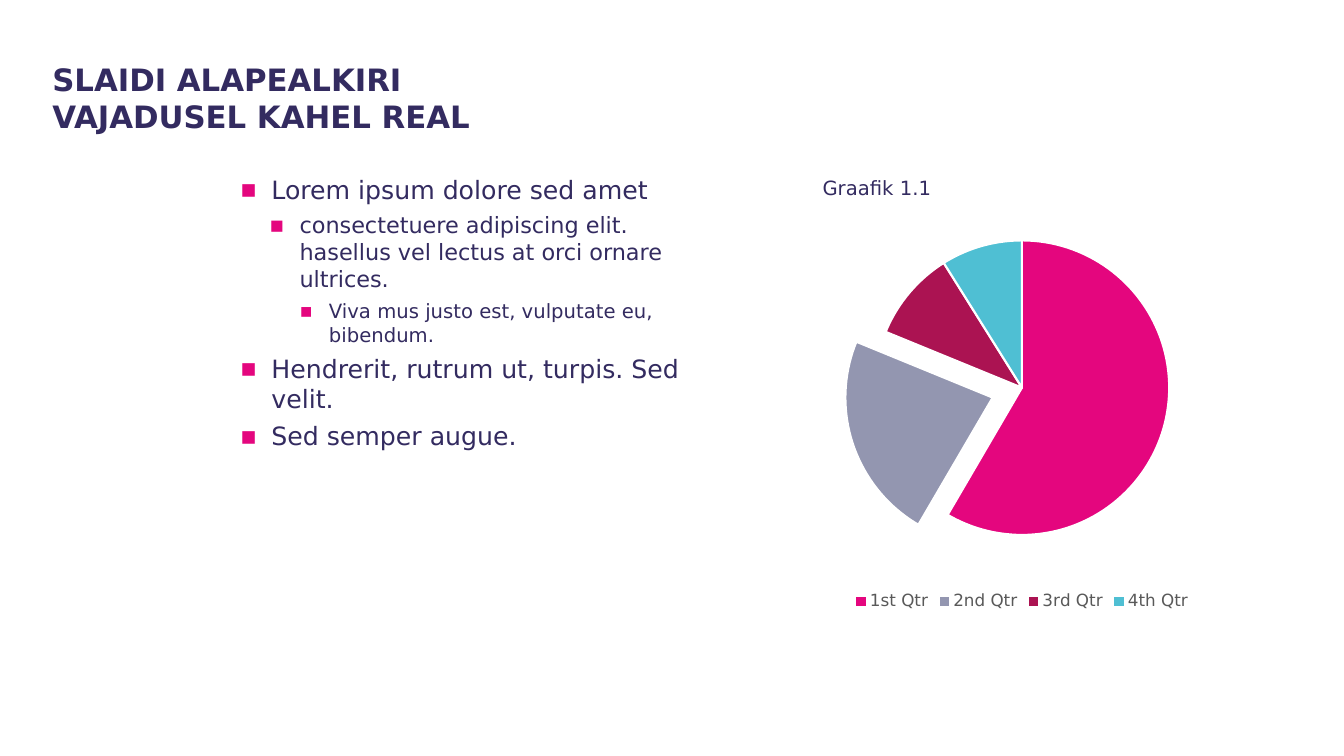
import lxml.etree
import pptx
import pptx.chart.data
import pptx.dml.color
import pptx.enum.chart
import pptx.enum.text
import pptx.oxml.ns
import pptx.util

Cm = pptx.util.Cm
Pt = pptx.util.Pt
RGBColor = pptx.dml.color.RGBColor
qn = pptx.oxml.ns.qn

NAVY = RGBColor(0x33, 0x2B, 0x60)
PINK = RGBColor(0xE4, 0x06, 0x7E)
LILAC = RGBColor(0x93, 0x96, 0xB0)
WINE = RGBColor(0xAB, 0x13, 0x52)
AQUA = RGBColor(0x4F, 0xBF, 0xD3)
GREY = RGBColor(0x59, 0x59, 0x59)
WHITE = RGBColor(0xFF, 0xFF, 0xFF)
FONT = "DejaVu Sans"

LEVELS = [(18, 0.79, 0.79), (16, 1.5, 0.76), (14, 2.24, 0.74)]
ITEMS = [
    (0, "Lorem ipsum dolore sed amet"),
    (1, "consectetuere adipiscing elit. hasellus vel lectus at orci ornare ultrices."),
    (2, "Viva mus justo est, vulputate eu, bibendum."),
    (0, "Hendrerit, rutrum ut, turpis. Sed velit."),
    (0, "Sed semper augue."),
]
SLICES = [
    ("1st Qtr", 59, PINK),
    ("2nd Qtr", 23, LILAC),
    ("3rd Qtr", 10, WINE),
    ("4th Qtr", 9, AQUA),
]


def style(font, size, color, bold=False):
    font.name = FONT
    font.size = Pt(size)
    font.bold = bold
    font.color.rgb = color


def format_runs(para, size, bold=False):
    para.alignment = pptx.enum.text.PP_ALIGN.LEFT
    for run in para.runs:
        style(run.font, size, NAVY, bold)


def place(shape, left, top, width, height):
    shape.left, shape.top = Cm(left), Cm(top)
    shape.width, shape.height = Cm(width), Cm(height)
    frame = shape.text_frame
    frame.margin_left = frame.margin_right = 0
    frame.margin_top = frame.margin_bottom = 0
    frame.word_wrap = True
    frame.auto_size = pptx.enum.text.MSO_AUTO_SIZE.NONE
    frame.vertical_anchor = pptx.enum.text.MSO_ANCHOR.TOP
    return frame


def add_title(slide):
    frame = place(slide.shapes.title, 1.32, 1.52, 16.97, 2.11)
    frame.text = "SLAIDI ALAPEALKIRI\vVAJADUSEL KAHEL REAL"
    format_runs(frame.paragraphs[0], 22, True)


def add_bullet(para, left, hang):
    props = para._p.get_or_add_pPr()
    props.set("marL", str(Cm(left)))
    props.set("indent", str(-Cm(hang)))
    color = lxml.etree.SubElement(props, qn("a:buClr"))
    lxml.etree.SubElement(color, qn("a:srgbClr"), val=str(PINK))
    lxml.etree.SubElement(props, qn("a:buFont"), typeface=FONT)
    lxml.etree.SubElement(props, qn("a:buChar"), char="▪")


def add_list(slide):
    frame = place(slide.placeholders[1], 6.05, 4.39, 12.09, 10.95)
    frame.text = "\n".join(text for level, text in ITEMS)
    for para, (level, text) in zip(frame.paragraphs, ITEMS):
        size, left, hang = LEVELS[level]
        para.level = level
        para.space_before = Pt(5)
        format_runs(para, size)
        add_bullet(para, left, hang)


def add_pie(slide):
    names, values, colors = zip(*SLICES)
    data = pptx.chart.data.CategoryChartData()
    data.categories = names
    data.add_series("Series 1", values)
    chart = slide.shapes.add_chart(
        pptx.enum.chart.XL_CHART_TYPE.PIE,
        Cm(19.86), Cm(4.93), Cm(11.79), Cm(10.57), data,
    ).chart
    chart.has_title = False
    chart.font.name = FONT
    chart.font.size = Pt(10)
    chart.has_legend = True
    chart.legend.position = pptx.enum.chart.XL_LEGEND_POSITION.BOTTOM
    chart.legend.include_in_layout = False
    style(chart.legend.font, 12, GREY)
    plot = chart.plots[0]
    plot.vary_by_categories = True
    for index, color in enumerate(colors):
        look = plot.series[0].points[index].format
        look.fill.solid()
        look.fill.fore_color.rgb = color
        look.line.color.rgb = WHITE
        look.line.width = Pt(1.5)
    pull_slice(chart, 1, 21)


def pull_slice(chart, index, amount):
    query = f'.//c:dPt[c:idx/@val="{index}"]/c:spPr'
    shape = chart._chartSpace.xpath(query)[0]
    shape.addprevious(lxml.etree.Element(qn("c:explosion"), val=str(amount)))


def add_label(slide):
    box = slide.shapes.add_textbox(0, 0, 0, 0)
    frame = place(box, 20.73, 4.5, 9.96, 0.86)
    frame.text = "Graafik 1.1"
    para = frame.paragraphs[0]
    para.line_spacing = 0.9
    para.space_before = Pt(10)
    format_runs(para, 14)


def main():
    deck = pptx.Presentation()
    deck.slide_width, deck.slide_height = Cm(33.87), Cm(19.05)
    slide = deck.slides.add_slide(deck.slide_layouts[1])
    add_title(slide)
    add_list(slide)
    add_pie(slide)
    add_label(slide)
    deck.save("out.pptx")


if __name__ == "__main__":
    main()
